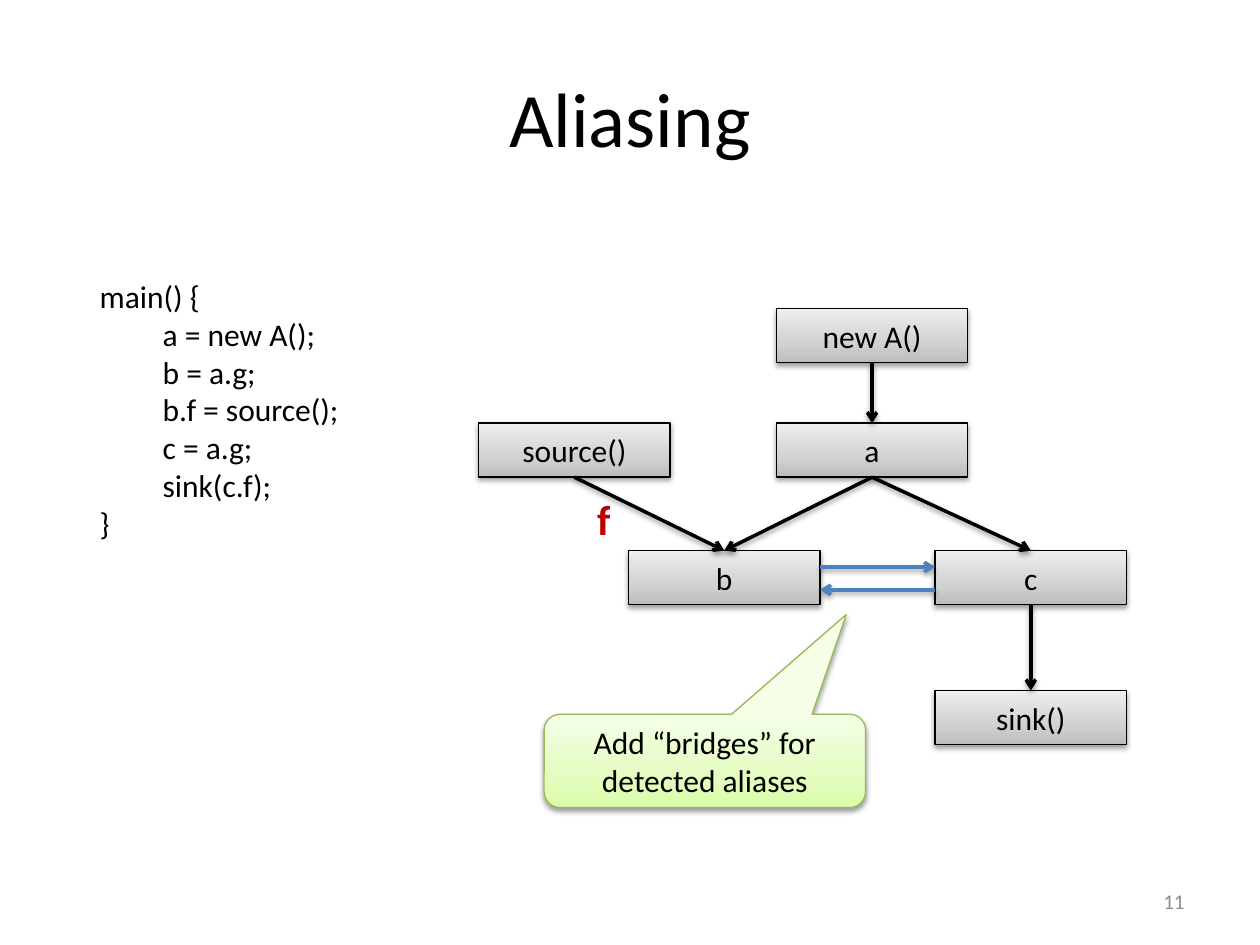
from lxml import etree
from pptx import Presentation
from pptx import util as u
from pptx.dml.color import RGBColor
from pptx.enum import shapes, text
from pptx.oxml import ns

Cm, Pt = u.Cm, u.Pt
HUES = {"ink": "000000", "page": "8C8C8C", "field": "C00000",
        "bridge": "4F81BD", "rim": "98B955"}
GREY = {0: "BDBDBD", 35: "D1D1D1", 100: "EEEEEE"}
LIME = {0: "DAFDA7", 35: "E4FCC2", 100: "F5FFE7"}
WIDE, HIGH = 3.86, 1.09
ALIGN, MID = text.PP_ALIGN, text.MSO_ANCHOR.MIDDLE
CODE = """main() {
\ta = new A();
\tb = a.g;
\tb.f = source();
\tc = a.g;
\tsink(c.f);
}"""
NODES = {"new A()": (15.65, 6.22), "a": (15.65, 8.53), "b": (12.67, 11.1),
         "c": (18.85, 11.1), "sink()": (18.85, 13.92), "source()": (9.65, 8.53)}
EDGES = [("new A()", "a"), ("a", "c"), ("a", "b"), ("c", "sink()"),
         ("source()", "b")]


def hue(code):
    return RGBColor.from_string(code)


def node(top, tag, **vals):
    """Add a DrawingML child element."""
    return etree.SubElement(top, ns.qn("a:" + tag), vals)


def shade(effects):
    drop = node(effects, "outerShdw", blurRad="40000", dist="20000",
                dir="5400000", rotWithShape="0")
    node(node(drop, "srgbClr", val=HUES["ink"]), "alpha", val="38000")


def write(frame, words, size, color="ink", align=ALIGN.LEFT, bold=False, tab=None):
    frame.text = words
    for para in frame.paragraphs:
        para.alignment = align
        if tab:
            tabs = node(para._p.get_or_add_pPr(), "tabLst")
            node(tabs, "tab", pos=str(tab), algn="l")
        look = {"name": "Calibri", "size": Pt(size), "bold": bold}
        for key, val in look.items():
            setattr(para.font, key, val)
        para.font.color.rgb = hue(HUES[color])


def label(slide, words, box, size, fit=False, **look):
    """Add a text box; fit lets it grow with its unwrapped text."""
    frame = slide.shapes.add_textbox(*map(Cm, box)).text_frame
    frame.word_wrap = not fit
    if fit:
        frame.auto_size = text.MSO_AUTO_SIZE.SHAPE_TO_FIT_TEXT
    else:
        frame.vertical_anchor = MID
    write(frame, words, size, **look)


def block(slide, words, box, kind=shapes.MSO_SHAPE.RECTANGLE, stops=GREY, rim="ink"):
    """Add a shape with a gradient, a thin rim and a soft shadow."""
    shape = slide.shapes.add_shape(kind, *map(Cm, box))
    shape.fill.gradient()
    shape.fill.gradient_angle = 90
    ramp = shape._element.spPr.find(".//" + ns.qn("a:gsLst"))
    for old in list(ramp):
        ramp.remove(old)
    for pos, code in stops.items():
        node(node(ramp, "gs", pos=str(pos * 1000)), "srgbClr", val=code)
    shape.line.color.rgb = hue(HUES[rim])
    shape.line.width = Pt(0.75)
    shape.shadow.inherit = False
    shade(shape._element.spPr.find(ns.qn("a:effectLst")))
    shape.text_frame.word_wrap = True
    shape.text_frame.vertical_anchor = MID
    write(shape.text_frame, words, 18, align=ALIGN.CENTER)
    return shape


def arrow(slide, start=(0, 0), end=(0, 0), color="ink"):
    line = slide.shapes.add_connector(shapes.MSO_CONNECTOR.STRAIGHT,
                                      *map(Cm, start + end))
    line.line.color.rgb = hue(HUES[color])
    line.line.width = Pt(2)
    node(line.line._get_or_add_ln(), "tailEnd", type="arrow")
    shade(node(line._element.spPr, "effectLst"))
    return line


def graph(slide):
    boxes = {name: block(slide, name, spot + (WIDE, HIGH))
             for name, spot in NODES.items()}
    for tail, head in EDGES:
        line = arrow(slide)
        line.begin_connect(boxes[tail], 2)
        line.end_connect(boxes[head], 0)
    left, right = NODES["b"][0] + WIDE, NODES["c"][0]
    arrow(slide, (left, 11.43), (right, 11.43), "bridge")
    arrow(slide, (right, 11.89), (left, 11.89), "bridge")


def main():
    deck = Presentation()
    deck.slide_width, deck.slide_height = Cm(25.4), Cm(19.05)
    slide = deck.slides.add_slide(deck.slide_layouts[6])
    label(slide, "Aliasing", (1.27, 0.76, 22.86, 3.18), 44, align=ALIGN.CENTER)
    label(slide, "11", (18.2, 17.66, 5.93, 1.01), 12, color="page",
          align=ALIGN.RIGHT)
    label(slide, CODE, (1.76, 5.46, 5.38, 5.64), 18, fit=True, tab=Cm(1.27))
    graph(slide)
    label(slide, "f", (11.79, 9.83, 0.79, 1.27), 24, fit=True, color="field",
          bold=True)
    note = block(slide, "Add “bridges” for detected aliases",
                 (10.97, 14.4, 6.48, 1.88),
                 shapes.MSO_SHAPE.ROUNDED_RECTANGULAR_CALLOUT, LIME, "rim")
    for spot, val in enumerate((0.44, -1.57, 0.17)):
        note.adjustments[spot] = val
    deck.save("out.pptx")


if __name__ == "__main__":
    main()
